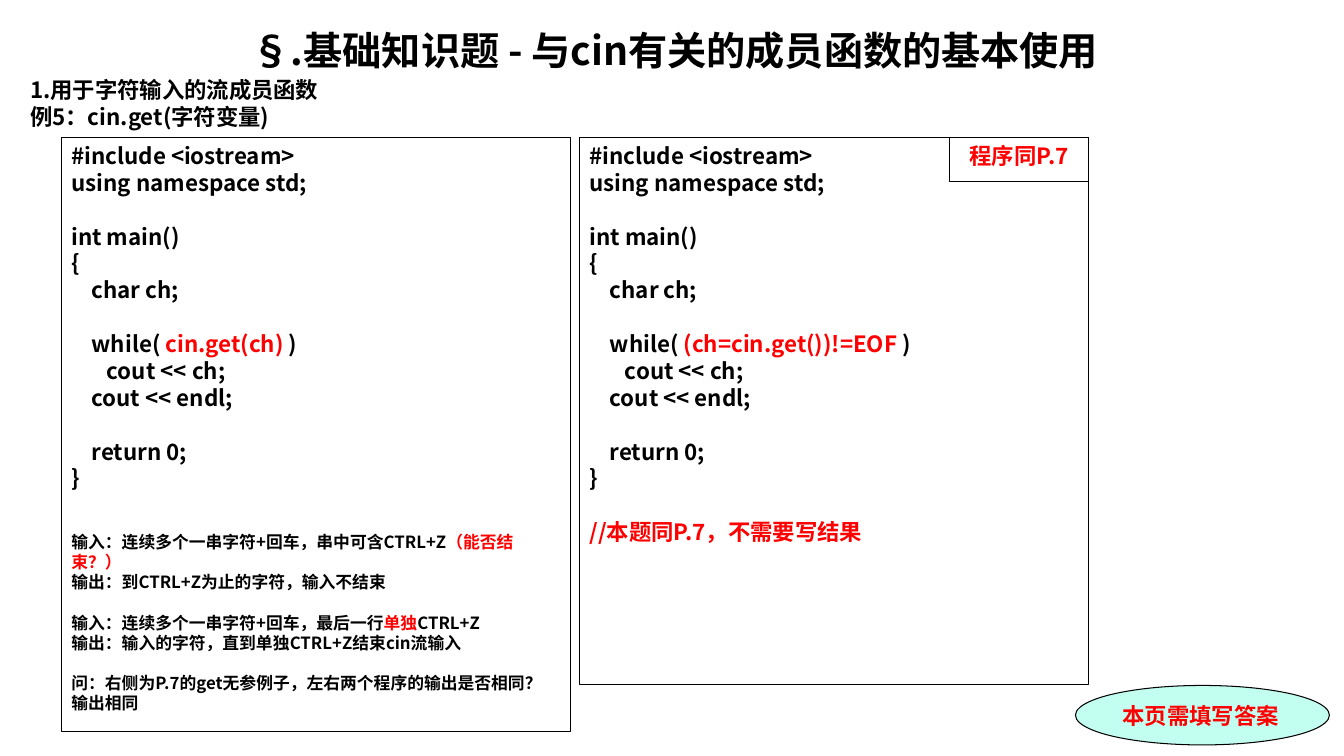
"""Builds a slide on cin.get with two programs side by side."""
from pptx import Presentation
from pptx.dml.color import RGBColor
from pptx.enum.shapes import MSO_SHAPE
from pptx.enum.text import MSO_ANCHOR, PP_ALIGN
from pptx.util import Pt
from lxml.etree import SubElement
from pptx.oxml.ns import qn

SANS = "Noto Sans CJK SC"
BLACK, RED, MINT = "000000", "FF0000", "C2FFF0"


def color(hex_code):
    return RGBColor.from_string(hex_code)


def write(frame, lines, align=PP_ALIGN.LEFT, latin=SANS):
    """Write (size, space before, text) lines; text between bars is red."""
    frame.word_wrap = True
    for number, (size, gap, text) in enumerate(lines):
        paragraph = frame.paragraphs[0] if number == 0 else frame.add_paragraph()
        paragraph.alignment = align
        paragraph.line_spacing = Pt(size * 1.2)
        paragraph.space_before = Pt(gap)
        for part, words in enumerate(text.split("|")):
            if not words:
                continue
            run = paragraph.add_run()
            run.text = words
            run.font.size = Pt(size)
            run.font.bold = True
            run.font.name = latin
            run.font.color.rgb = color(RED if part % 2 else BLACK)
            SubElement(run._r.get_or_add_rPr(), qn("a:ea")).set("typeface", SANS)


prs = Presentation()
prs.slide_width, prs.slide_height = Pt(960), Pt(540)
slide = prs.slides.add_slide(prs.slide_layouts[6])

heading = slide.shapes.add_textbox(Pt(14.4), Pt(15), Pt(935.3), Pt(80)).text_frame
write(heading, [
    (28, 0, "§.基础知识题 - 与cin有关的成员函数的基本使用"),
    (16, 2, "1.用于字符输入的流成员函数"),
    (16, 0, "例5：cin.get(字符变量)"),
])
heading.paragraphs[0].alignment = PP_ALIGN.CENTER


programs = []
for condition in ("|cin.get(ch)| )", "|(ch=cin.get())!=EOF |)"):
    programs.append([
        (16, 0, "#include <iostream>"),
        (16, 0, "using namespace std;"),
        (16, 19.2, "int main()"),
        (16, 0, "{"),
        (16, 0, "    char ch;"),
        (16, 19.2, "    while( " + condition),
        (16, 0, "       cout << ch;"),
        (16, 0, "    cout << endl;"),
        (16, 19.2, "    return 0;"),
        (16, 0, "}"),
    ])
get_char, get_plain = programs
get_char += [
    (12, 28.8, "输入：连续多个一串字符+回车，串中可含CTRL+Z|（能否结束？）"),
    (12, 0, "输出：到CTRL+Z为止的字符，输入不结束"),
    (12, 14.4, "输入：连续多个一串字符+回车，最后一行|单独|CTRL+Z"),
    (12, 0, "输出：输入的字符，直到单独CTRL+Z结束cin流输入"),
    (12, 14.4, "问：右侧为P.7的get无参例子，左右两个程序的输出是否相同？"),
    (12, 0, "输出相同"),
]
get_plain.append((16, 19.2, "|//本题同P.7，不需要写结果"))
same_program = [(16, 0, "|程序同P.7")]
answer_needed = [(16, 0, "|本页需填写答案")]

RECT, OVAL = MSO_SHAPE.RECTANGLE, MSO_SHAPE.OVAL
LEFT, CENTER = PP_ALIGN.LEFT, PP_ALIGN.CENTER
TOP, MIDDLE = MSO_ANCHOR.TOP, MSO_ANCHOR.MIDDLE
for kind, x, y, width, height, fill, lines, align, anchor, latin in (
    (OVAL, 768.2, 489.6, 181.4, 42.5, MINT, answer_needed, LEFT, MIDDLE, "Times New Roman"),
    (RECT, 43.9, 98, 363.6, 424.8, None, get_char, LEFT, TOP, SANS),
    (RECT, 414, 98, 363.6, 391, None, get_plain, LEFT, TOP, SANS),
    (RECT, 678.2, 98, 99.4, 31.7, None, same_program, CENTER, TOP, SANS),
):
    panel = slide.shapes.add_shape(kind, Pt(x), Pt(y), Pt(width), Pt(height))
    panel.shadow.inherit = False
    panel.line.color.rgb = color(BLACK)
    panel.line.width = Pt(0.75)
    if fill:
        panel.fill.solid()
        panel.fill.fore_color.rgb = color(fill)
    else:
        panel.fill.background()
    panel.text_frame.vertical_anchor = anchor
    write(panel.text_frame, lines, align, latin)

prs.save("out.pptx")
